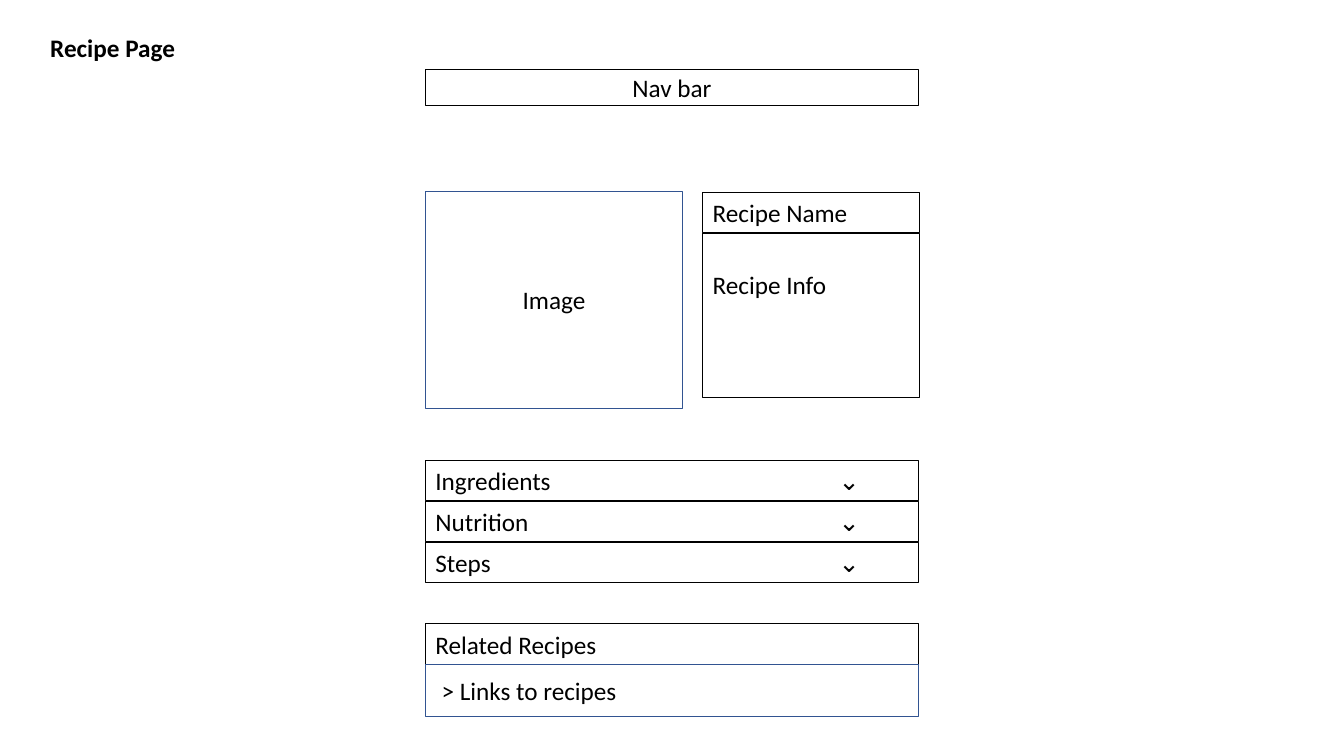
from lxml import etree
from pptx import Presentation
from pptx.dml.color import RGBColor
from pptx.enum import shapes, text
from pptx.oxml.ns import qn
from pptx.util import Inches, Pt

BLACK, BLUE = "000000", "325491"
LEFT, WIDTH, ROW = 4.22, 4.89, 0.4
INFO_LEFT, INFO_WIDTH = 6.97, 2.15
TOP, MIDDLE = text.MSO_ANCHOR.TOP, text.MSO_ANCHOR.MIDDLE
START, CENTER = text.PP_ALIGN.LEFT, text.PP_ALIGN.CENTER


def color(value):
    return RGBColor.from_string(value)


def add_run(p, words, font="Calibri", bold=False):
    r = p.add_run()
    r.text = words
    r.font.name = font
    r.font.size = Pt(18)
    r.font.bold = bold
    r.font.color.rgb = color(BLACK)


def write(sp, words, align=START, anchor=TOP, bold=False, left=0.1, top=0.05):
    tf = sp.text_frame
    tf.word_wrap = True
    tf.vertical_anchor = anchor
    tf.margin_left = Inches(left)
    tf.margin_top = Inches(top)
    p = tf.paragraphs[0]
    p.alignment = align
    add_run(p, words, bold=bold)
    return p


def add_box(s, x, y, w, h, words, line=BLACK, weight=0.75, **fmt):
    sp = s.shapes.add_shape(shapes.MSO_SHAPE.RECTANGLE,
                            Inches(x), Inches(y), Inches(w), Inches(h))
    sp.shadow.inherit = False
    sp.fill.background()
    sp.line.color.rgb = color(line)
    sp.line.width = Pt(weight)
    return write(sp, words, **fmt)


def add_dropdown(s, y, words):
    p = add_box(s, LEFT, y, WIDTH, ROW, words + "\t")
    add_run(p, "\u2304", font="Cabin")
    tabs = etree.SubElement(p._p.get_or_add_pPr(), qn("a:tabLst"))
    etree.SubElement(tabs, qn("a:tab"), pos=str(Inches(4)), algn="l")


def add_title(s, words):
    sp = s.shapes.add_textbox(Inches(0.4), Inches(0.27), Inches(2.06), Inches(ROW))
    write(sp, words, bold=True)


def main():
    prs = Presentation()
    prs.slide_width, prs.slide_height = Inches(13.33), Inches(7.5)
    s = prs.slides.add_slide(prs.slide_layouts[6])

    add_title(s, "Recipe Page")
    add_box(s, LEFT, 0.69, WIDTH, 0.36, "Nav bar", weight=1,
            align=CENTER, anchor=MIDDLE)
    add_box(s, LEFT, 1.9, 2.55, 2.15, "Image", line=BLUE, weight=1,
            align=CENTER, anchor=MIDDLE)
    add_box(s, INFO_LEFT, 1.91, INFO_WIDTH, ROW, "Recipe Name")
    add_box(s, INFO_LEFT, 2.32, INFO_WIDTH, 1.62, "Recipe Info", top=0.35)

    for i, section in enumerate(["Ingredients", "Nutrition", "Steps"]):
        add_dropdown(s, 4.57 + i * 0.405, section)

    add_box(s, LEFT, 6.19, WIDTH, ROW, "Related Recipes")
    add_box(s, LEFT, 6.59, WIDTH, 0.52, "> Links to recipes", line=BLUE,
            weight=1, anchor=MIDDLE, left=0.16)
    prs.save("out.pptx")


main()
